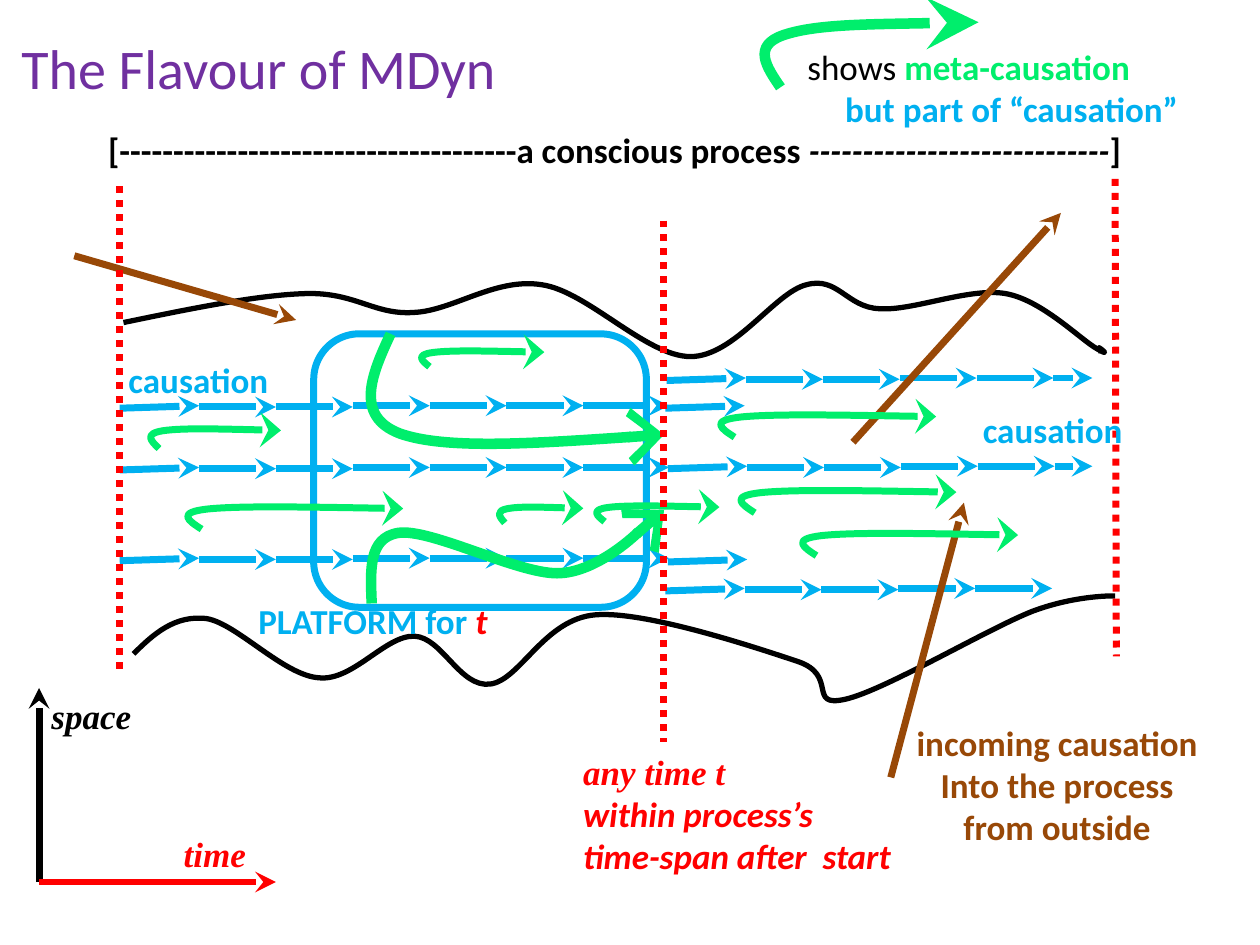
"""Build the slide showing causation and meta-causation in a conscious process."""
from lxml.etree import SubElement
from pptx import Presentation
from pptx.dml.color import RGBColor
from pptx.enum.dml import MSO_LINE
from pptx.enum.shapes import MSO_CONNECTOR as Connector, MSO_SHAPE as Shape
from pptx.enum.text import MSO_ANCHOR as Anchor, MSO_AUTO_SIZE as AutoSize, PP_ALIGN as Align
from pptx.oxml.ns import qn
from pptx.util import Inches, Pt


class Theme:
    black, red, blue = "000000", "FF0000", "00B0F0"
    green, brown, purple = "00EE6C", "984807", "7030A0"
    sans, serif = "Calibri", "Times New Roman"
    title_size, text_size = 32, 20
    thin, medium, thick = 3, 4, 6


TITLE = "The Flavour of MDyn"
TITLE_BOX = (0.07, 0.22, 8.5, 0.63)
PLATFORM_BOX = (2.49, 2.65, 2.64, 2.17)

RED_SERIF = {"color": Theme.red, "font": Theme.serif, "italic": True}
RED_SANS = {"color": Theme.red, "italic": True}
BLUE = {"color": Theme.blue}
BROWN = {"color": Theme.brown}
LABELS = [
    ((0.76, 0.97, 8.3, 0.44), True, [
        (Align.LEFT, [("[-------------------------------------a conscious process", {}),
                      (" ----------------------------", {"italic": True}), ("]", {})])]),
    ((6.98, 5.68, 2.82, 1.11), True, [
        (Align.CENTER, [("incoming causation", BROWN)]),
        (Align.CENTER, [("Into the process", BROWN)]),
        (Align.CENTER, [("from outside", BROWN)])]),
    ((0.31, 5.46, 0.84, 0.44), False, [
        (Align.LEFT, [("space", {"font": Theme.serif, "italic": True})])]),
    ((1.36, 6.56, 0.7, 0.44), False, [(Align.LEFT, [("time", RED_SERIF)])]),
    ((4.53, 5.91, 2.67, 1.11), False, [
        (Align.LEFT, [("any time t", RED_SERIF)]),
        (Align.LEFT, [("within process’s", RED_SANS)]),
        (Align.LEFT, [("time-span after  start", RED_SANS)])]),
    ((0.81, 2.8, 1.53, 0.44), True, [(Align.CENTER, [("causation", BLUE)])]),
    ((7.59, 3.19, 1.53, 0.44), True, [(Align.CENTER, [("causation", BLUE)])]),
    ((6.31, 0.31, 3.44, 0.77), True, [
        (Align.LEFT, [("shows", {"bold": False}), (" meta-causation", {"color": Theme.green})]),
        (Align.CENTER, [("but part of “causation”", BLUE)])]),
    ((1.81, 4.71, 2.3, 0.44), True, [
        (Align.CENTER, [("PLATFORM for ", BLUE), ("t", RED_SANS)])]),
]

AXES = [((0.31, 7), (0.31, 5.46), Theme.black), ((0.31, 7), (2.19, 7), Theme.red)]
INCOMING = [((0.59, 2.03), (2.35, 2.54)), ((7.07, 6.17), (7.65, 3.99)),
            ((6.77, 3.51), (8.42, 1.69))]
TIME_LINES = [((5.27, 1.75), (5.27, 5.89)), ((8.85, 1.42), (8.86, 5.21)),
              ((0.95, 1.48), (0.95, 5.34))]

FIRST_STEP, STEP = 0.63, 0.61
CHAINS = [
    (0.95, 5.31, 3.23, 7), (0.95, 5.31, 3.72, 7), (0.95, 5.31, 4.44, 7),
    (5.29, 8.67, 3.01, 6), (5.28, 8.35, 4.68, 5), (5.3, 8.67, 3.71, 6),
    (5.3, 5.93, 4.45, 1), (5.28, 5.91, 3.23, 1),
]

BOUNDARIES = [
    ((0.98, 2.25, 7.79, 0.59), [
        (0.98, 2.56), (1.51, 2.45), (2.05, 2.34), (2.43, 2.33), (2.82, 2.32), (2.97, 2.5),
        (3.28, 2.48), (3.59, 2.47), (3.93, 2.2), (4.3, 2.26), (4.66, 2.31), (5.13, 2.83),
        (5.48, 2.83), (5.83, 2.83), (6.15, 2.32), (6.4, 2.26), (6.65, 2.19), (6.72, 2.44),
        (6.98, 2.45), (7.24, 2.47), (7.69, 2.28), (7.98, 2.33), (8.27, 2.38), (8.58, 2.7),
        (8.71, 2.77), (8.83, 2.84), (8.72, 2.75), (8.72, 2.76), (8.73, 2.76), (8.73, 2.78),
        (8.74, 2.8)]),
    ((1.06, 4.73, 7.79, 0.83), [
        (1.06, 5.19), (1.22, 5.03), (1.39, 4.88), (1.64, 4.91), (1.88, 4.95), (2.25, 5.36),
        (2.53, 5.38), (2.8, 5.41), (3.06, 5.04), (3.29, 5.05), (3.51, 5.06), (3.65, 5.46),
        (3.89, 5.43), (4.13, 5.4), (4.32, 4.91), (4.73, 4.88), (5.13, 4.85), (6, 5.14),
        (6.33, 5.25), (6.66, 5.36), (6.4, 5.62), (6.71, 5.55), (7.02, 5.48), (7.84, 4.99),
        (8.2, 4.85), (8.55, 4.72), (8.85, 4.73), (8.85, 4.73)]),
]
PLATFORM_CURVES = [
    ((2.94, 2.65, 2.32, 0.87), [
        (3.1, 2.65), (2.95, 2.97), (2.81, 3.3), (3.17, 3.44), (3.53, 3.57), (4.4, 3.51),
        (5.27, 3.45)]),
    ((2.94, 4.05, 2.32, 0.74), [
        (2.95, 4.79), (2.94, 4.53), (2.92, 4.27), (3.16, 4.23), (3.41, 4.19), (4.1, 4.55),
        (4.42, 4.55), (4.74, 4.55), (5.07, 4.22), (5.07, 4.22), (5.07, 4.22), (5.27, 4.05),
        (5.27, 4.05)]),
]
HOOK = [(0.07, 1), (0.01, 0.61), (-0.05, 0.22), (0.1, 0.06), (0.25, -0.1), (0.63, -0.02), (1, 0.04)]
LEGEND_BOX, LEGEND_ROTATION = (6.06, 0.21, 1.72, 0.44), 356.6
HOOK_BOXES = [
    (1.48, 4.03, 1.72, 0.17), (1.19, 3.41, 1.04, 0.15), (6.36, 4.24, 1.72, 0.17),
    (5.87, 3.9, 1.72, 0.17), (3.34, 2.79, 0.98, 0.12), (3.96, 4.03, 0.67, 0.12),
    (5.71, 3.3, 1.72, 0.17), (4.73, 4.02, 0.98, 0.12),
]


def place(shape, box):
    shape.left, shape.top, shape.width, shape.height = map(Inches, box)


def format_line(shape, color, width, head=None, head_width="med", head_length="med"):
    shape.line.color.rgb = RGBColor.from_string(color)
    shape.line.width = Pt(width)
    if head:
        SubElement(shape.line._get_or_add_ln(), qn("a:tailEnd"),
                   type=head, w=head_width, len=head_length)


def add_run(paragraph, text, color=Theme.black, size=Theme.text_size, font=Theme.sans,
            bold=True, italic=False):
    run = paragraph.add_run()
    run.text = text
    run.font.name, run.font.size = font, Pt(size)
    run.font.bold, run.font.italic = bold, italic
    run.font.color.rgb = RGBColor.from_string(color)


def add_label(shapes, box, wrap, paragraphs):
    frame = shapes.add_textbox(*map(Inches, box)).text_frame
    frame.word_wrap = wrap
    frame.auto_size = AutoSize.SHAPE_TO_FIT_TEXT
    for index, (alignment, runs) in enumerate(paragraphs):
        paragraph = frame.add_paragraph() if index else frame.paragraphs[0]
        paragraph.alignment = alignment
        for text, style in runs:
            add_run(paragraph, text, **style)


def add_line(shapes, start, end, color, head="stealth"):
    line = shapes.add_connector(Connector.STRAIGHT, *map(Inches, (*start, *end)))
    format_line(line, color, Theme.medium, head)
    SubElement(line._element.spPr, qn("a:effectLst"))
    return line


def add_chain(shapes, start, end, y, count):
    stops = [start, *(start + FIRST_STEP + STEP * i for i in range(count - 1)), end]
    for index, (left, right) in enumerate(zip(stops, stops[1:])):
        first = y + 0.01 if index == 0 else y if index < 3 else y - 0.01
        last = y if index in (1, 2) else y - 0.01
        add_line(shapes, (left, first), (right, last), Theme.blue)


def add_curve(shapes, box, points, color, width, **head):
    corners = [(Inches(x), Inches(y)) for x, y in points]
    builder = shapes.build_freeform(*corners[0])
    builder.add_line_segments(corners[1:], close=False)
    shape = builder.convert_to_shape()
    outline = next(shape._element.iter(qn("a:path")))
    place(shape, box)
    outline.set("w", str(shape.width))
    outline.set("h", str(shape.height))
    for point, (x, y) in zip(outline.iter(qn("a:pt")), corners):
        point.set("x", str(x - shape.left))
        point.set("y", str(y - shape.top))
    segments = outline.findall(qn("a:lnTo"))
    for index in range(0, len(segments), 3):
        curve = SubElement(outline, qn("a:cubicBezTo"))
        for segment in segments[index:index + 3]:
            curve.append(segment[0])
            outline.remove(segment)
    shape.fill.background()
    shape.shadow.inherit = False
    format_line(shape, color, width, **head)
    return shape


def add_hook(shapes, box, width, head_length="med"):
    left, top, across, down = box
    points = [(left + across * x, top + down * y) for x, y in HOOK]
    return add_curve(shapes, box, points, Theme.green, width,
                     head="stealth", head_width="lg", head_length=head_length)


def main():
    presentation = Presentation()
    presentation.slide_width, presentation.slide_height = Inches(10), Inches(7.5)
    slide = presentation.slides.add_slide(presentation.slide_layouts[5])
    shapes = slide.shapes
    place(shapes.title, TITLE_BOX)
    shapes.title.text_frame.vertical_anchor = Anchor.MIDDLE
    heading = shapes.title.text_frame.paragraphs[0]
    heading.alignment = Align.LEFT
    add_run(heading, TITLE, color=Theme.purple, size=Theme.title_size, bold=False)

    platform = shapes.add_shape(Shape.ROUNDED_RECTANGLE, *map(Inches, PLATFORM_BOX))
    platform.fill.background()
    platform.shadow.inherit = False
    format_line(platform, Theme.blue, Theme.medium)

    for start, end, color in AXES:
        add_line(shapes, start, end, color)
    for box, points in BOUNDARIES:
        add_curve(shapes, box, points, Theme.black, Theme.thin)
    for chain in CHAINS:
        add_chain(shapes, *chain)
    for start, end in INCOMING:
        add_line(shapes, start, end, Theme.brown)
    for box, points in PLATFORM_CURVES:
        add_curve(shapes, box, points, Theme.green, Theme.thick, head="arrow", head_width="lg")
    add_hook(shapes, LEGEND_BOX, Theme.thick, "lg").rotation = LEGEND_ROTATION
    for box in HOOK_BOXES:
        add_hook(shapes, box, Theme.medium)
    for start, end in TIME_LINES:
        add_line(shapes, start, end, Theme.red, head=None).line.dash_style = MSO_LINE.ROUND_DOT
    for label in LABELS:
        add_label(shapes, *label)
    presentation.save("out.pptx")


if __name__ == "__main__":
    main()
